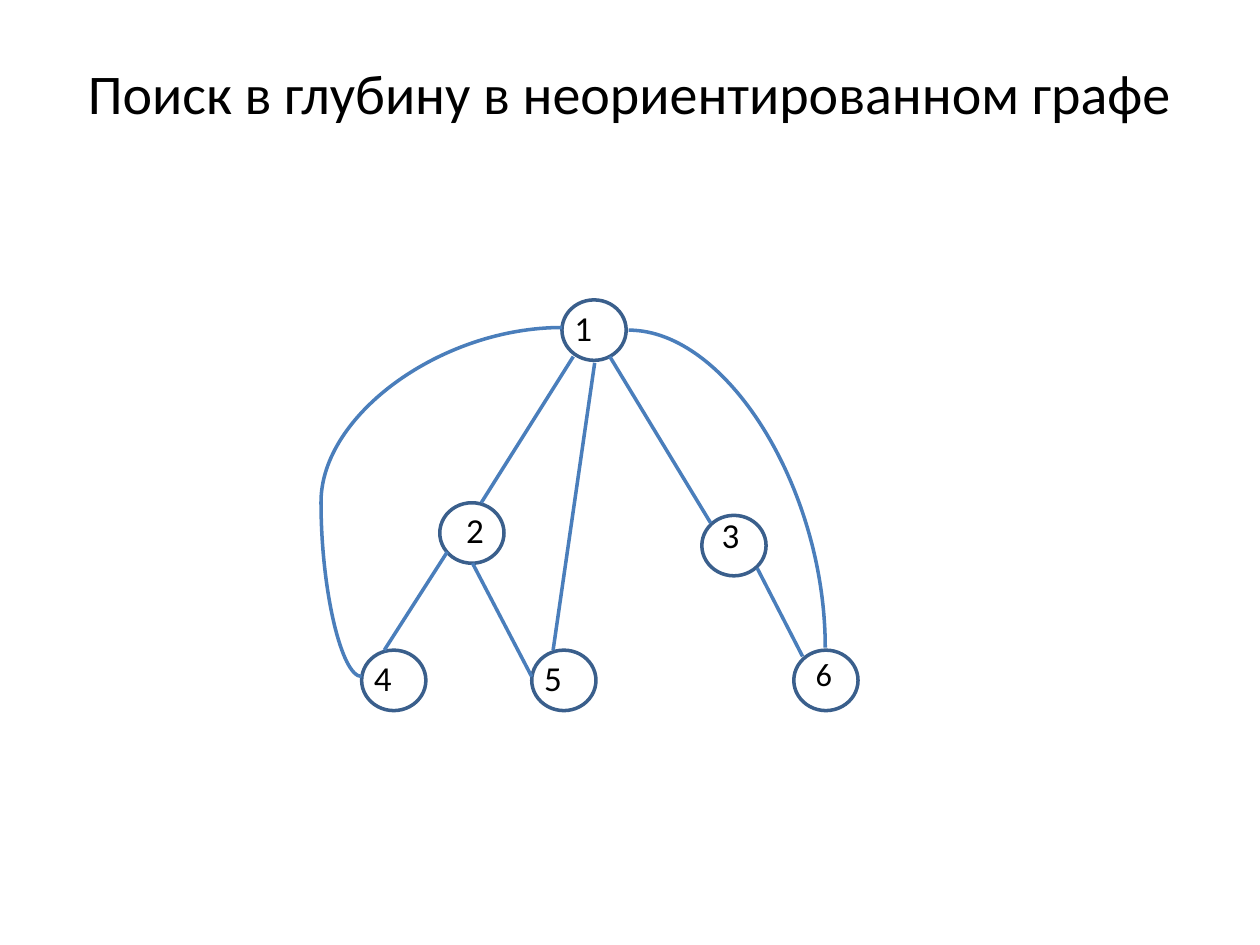
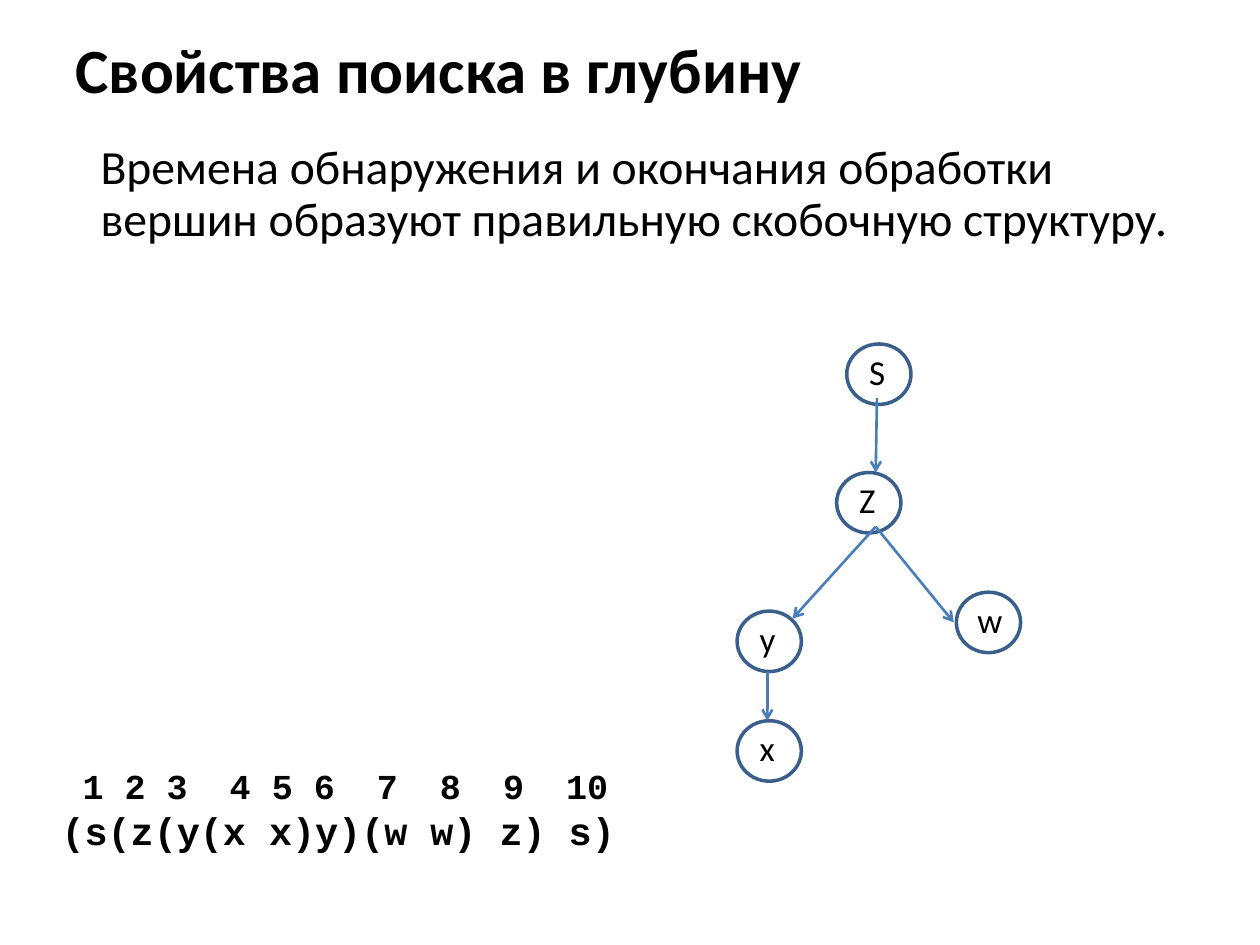
"""Build two slides on depth-first search: an undirected graph and its bracket structure."""
import pptx
import pptx.dml.color
import pptx.enum.shapes
import pptx.enum.text
import pptx.oxml.ns
import pptx.util
from lxml import etree

Inches = pptx.util.Inches
Pt = pptx.util.Pt
RGBColor = pptx.dml.color.RGBColor
Align = pptx.enum.text.PP_ALIGN
Anchor = pptx.enum.text.MSO_ANCHOR
Link = pptx.enum.shapes.MSO_CONNECTOR
qn = pptx.oxml.ns.qn

BLACK = RGBColor(0x00, 0x00, 0x00)
RING = RGBColor(0x3A, 0x5F, 0x8C)
EDGE = RGBColor(0x4A, 0x7E, 0xBB)
NODE = (0.51, 0.48)
HIGH = 0.43

GRAPH = {
    "title": "Поиск в глубину в неориентированном графе",
    "nodes": [(3.49, 3.99), (4.22, 5.16), (4.46, 2.38), (5.57, 4.09), (2.87, 5.16)],
    "labels": [("2", 3.6, 3.99, 0.45), ("3", 5.63, 4.03, 0.34), ("1", 4.46, 2.38, 0.34),
               ("5", 4.22, 5.16, 0.34), ("4", 2.87, 5.16, 0.34)],
    "edges": [(4.55, 2.83, 3.82, 3.99), (4.84, 2.83, 5.64, 4.15), (3.55, 4.38, 3.05, 5.16),
              (3.75, 4.47, 4.22, 5.37), (6.01, 4.51, 6.37, 5.21), (4.39, 5.16, 4.72, 2.88)],
}
TREE = {
    "title": "Свойства поиска в глубину",
    "nodes": [(6.64, 3.75), (5.85, 5.72), (6.72, 2.73), (7.59, 4.7), (5.85, 4.85)],
    "labels": [("Z", 6.72, 3.75, 0.45), ("w", 7.66, 4.7, 0.4), ("S", 6.8, 2.73, 0.33),
               ("x", 5.93, 5.72, 0.32), ("y", 5.93, 4.85, 0.33)],
    "edges": [(6.09, 5.33, 6.09, 5.72), (6.96, 3.16, 6.95, 3.75),
              (6.95, 4.18, 7.57, 4.94), (6.95, 4.18, 6.29, 4.91)],
}
RULE = "Времена обнаружения и окончания обработки вершин образуют правильную скобочную структуру."
TIMES = " 1 2 3  4 5 6  7  8  9  10 "
PAIRS = "(s(z(y(x x)y)(w w) z) s)"


def write(shape, *runs, font="Calibri", bold=False, align=Align.LEFT, anchor=Anchor.TOP,
          wrap=True, lines=None, before=None, indent=None):
    frame = shape.text_frame
    frame.auto_size = pptx.enum.text.MSO_AUTO_SIZE.NONE
    frame.word_wrap = wrap
    frame.vertical_anchor = anchor
    para = frame.paragraphs[0]
    para.alignment = align
    if lines:
        para.line_spacing = lines
    if before:
        para.space_before = Pt(before)
    if indent:
        para._p.get_or_add_pPr().set("marL", str(Inches(indent)))
    for text, size in runs:
        run = para.add_run()
        run.text = text
        run.font.name = font
        run.font.size = Pt(size)
        run.font.bold = bold
        run.font.color.rgb = BLACK


def box(slide, *place):
    return slide.shapes.add_textbox(*map(Inches, place))


def ring(slide, left, top):
    kind = pptx.enum.shapes.MSO_SHAPE.OVAL
    shape = slide.shapes.add_shape(kind, *map(Inches, (left, top, *NODE)))
    shape.shadow.inherit = False
    shape.fill.background()
    shape.line.color.rgb = RING
    shape.line.width = Pt(2)
    return shape


def join(slide, ends, width=2, arrow=False, kind=Link.STRAIGHT):
    line = slide.shapes.add_connector(kind, *map(Inches, ends))
    line.line.color.rgb = EDGE
    line.line.width = Pt(width)
    props = line._element.spPr
    if arrow:
        etree.SubElement(props.find(qn("a:ln")), qn("a:tailEnd"), type="arrow")
    etree.SubElement(props, qn("a:effectLst"))
    return props.find(qn("a:prstGeom"))


def start(deck, data, place, size, width=2, arrow=False, **style):
    slide = deck.slides.add_slide(deck.slide_layouts[5])
    title = slide.shapes.title
    title.left, title.top, title.width, title.height = map(Inches, place)
    write(title, (data["title"], size), anchor=Anchor.MIDDLE, **style)
    for spot in data["nodes"]:
        ring(slide, *spot)
    for text, left, top, wide in data["labels"]:
        write(box(slide, left, top, wide, HIGH), (text, 20), wrap=wide == 0.45)
    for ends in data["edges"]:
        join(slide, ends, width, arrow)
    return slide


deck = pptx.Presentation()
deck.slide_width, deck.slide_height = Inches(10), Inches(7.5)

slide = start(deck, GRAPH, (0.5, 0.3, 9, 0.87), 32, align=Align.CENTER)
write(ring(slide, 6.3, 5.16), ("6", 18.5), lines=0.7, before=3.7)
geom = join(slide, (2.87, 5.37, 4.46, 2.6), kind=Link.CURVE)
bend = geom.find(qn("a:avLst"))
if bend is None:
    bend = etree.SubElement(geom, qn("a:avLst"))
etree.SubElement(bend, qn("a:gd"), name="adj1", fmla="val -20300")
geom = join(slide, (4.99, 2.62, 6.55, 5.14), kind=Link.CURVE)
geom.set("prst", "curvedConnector2")

slide = start(deck, TREE, (0.5, 0.3, 9, 0.48), 36, width=1.5, arrow=True, bold=True)
write(box(slide, 0.5, 1.09, 9, 0.94), (RULE, 27.2), lines=0.9, before=5.4, indent=0.2)
write(box(slide, 0.39, 6.02, 4.69, 0.81), (TIMES, 20), (PAIRS, 22), font="Courier New", bold=True)

deck.save("out.pptx")
